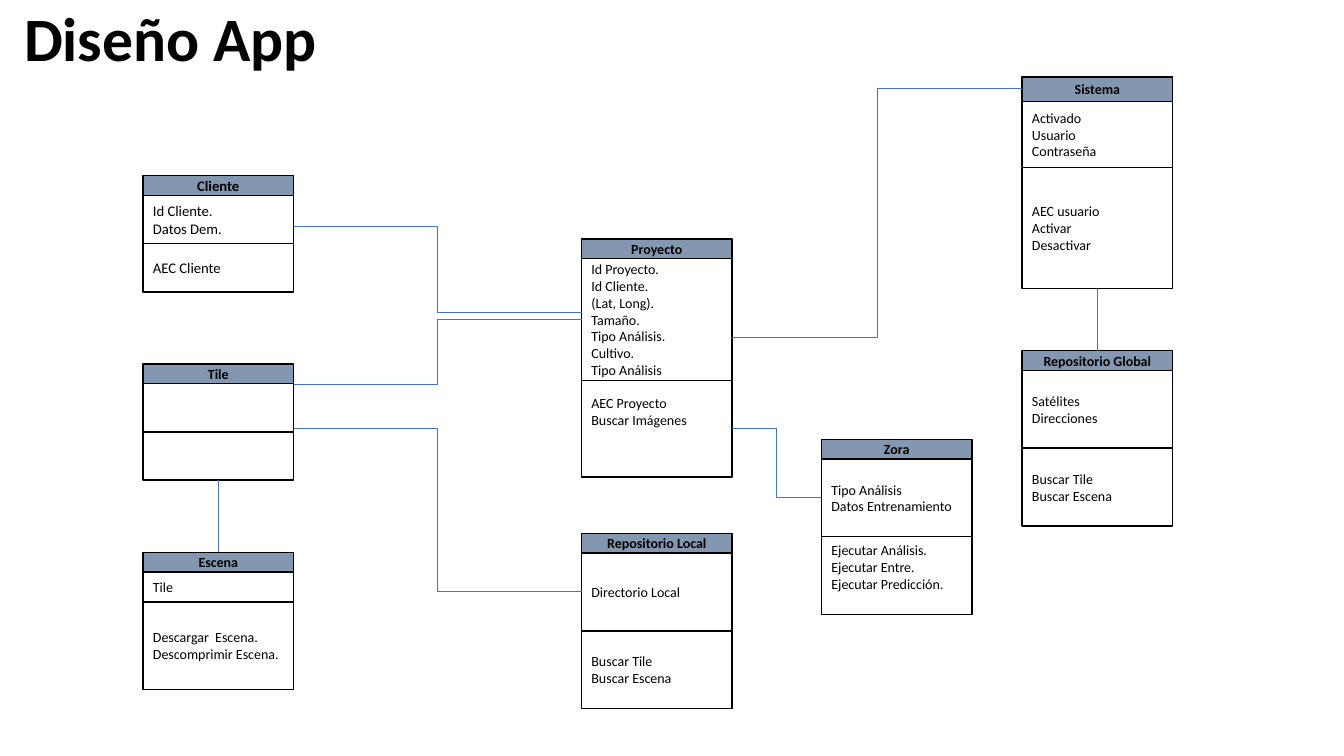
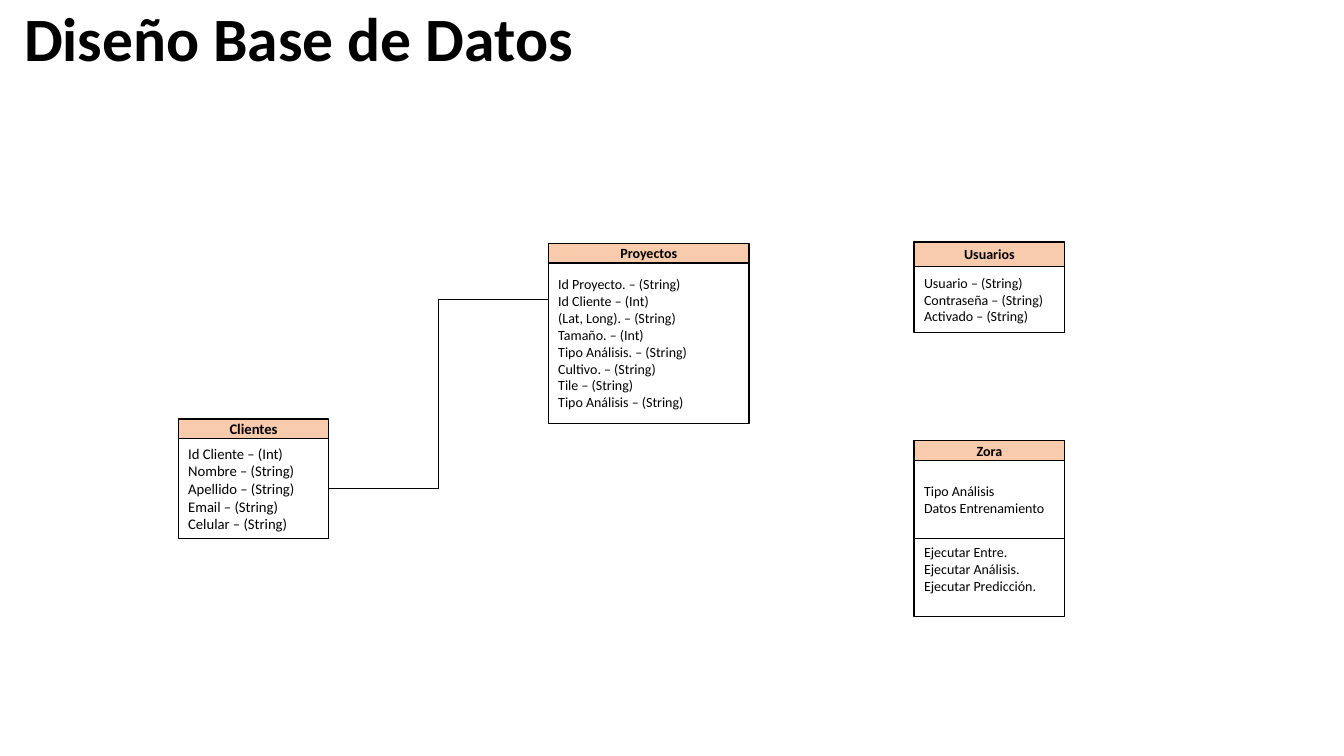
"""Build two slides of class diagrams for the app and its database."""
import pptx
import pptx.dml.color
import pptx.enum.shapes
import pptx.enum.text
import pptx.oxml
import pptx.util

Pt = pptx.util.Pt


def color(value):
    """Turn a hex string into a colour."""
    return pptx.dml.color.RGBColor.from_string(value)


class Diagram:
    """Hold the deck, its style and the current slide."""

    FONT = "Calibri"
    INK = "000000"
    BOX_WIDTH = 107.5
    HEADER_HEIGHT = 14
    MARGIN = 3.6
    LINE_HEIGHT = 12.2

    def __init__(self):
        """Start an empty widescreen deck."""
        self.deck = pptx.Presentation()
        self.deck.slide_width = Pt(960)
        self.deck.slide_height = Pt(540)
        self.page = None
        self.header_fill = None
        self.link_color = None

    def style_para(self, para, size, bold=False):
        """Set the font of one paragraph."""
        para.font.name = self.FONT
        para.font.size = Pt(size)
        para.font.bold = bold
        para.font.color.rgb = color(self.INK)

    def add_page(self, title, header_fill, link_color):
        """Add a titled slide with its own header and link colours."""
        self.page = self.deck.slides.add_slide(self.deck.slide_layouts[5])
        self.header_fill = header_fill
        self.link_color = link_color
        box = self.page.shapes.title
        box.left, box.top, box.width, box.height = Pt(0), Pt(0), Pt(960), Pt(60)
        frame = box.text_frame
        frame.text = title
        frame.word_wrap = True
        frame.margin_left = Pt(17.2)
        frame.vertical_anchor = pptx.enum.text.MSO_ANCHOR.MIDDLE
        para = frame.paragraphs[0]
        para.alignment = pptx.enum.text.PP_ALIGN.LEFT
        para.line_spacing = 0.9
        self.style_para(para, 44, bold=True)

    def add_cell(self, left, top, width, height, lines, size, header=False, lift=0):
        """Add one outlined box, its text lifted by a number of lines."""
        box = self.page.shapes.add_shape(
            pptx.enum.shapes.MSO_SHAPE.RECTANGLE,
            Pt(left), Pt(top), Pt(width), Pt(height))
        box.shadow.inherit = False
        if header:
            box.fill.solid()
            box.fill.fore_color.rgb = color(self.header_fill)
        else:
            box.fill.background()
        box.line.color.rgb = color(self.INK)
        box.line.width = Pt(1)
        frame = box.text_frame
        frame.text = "\n".join(lines)
        frame.word_wrap = True
        frame.vertical_anchor = pptx.enum.text.MSO_ANCHOR.MIDDLE
        frame.margin_bottom = Pt(self.MARGIN + lift * self.LINE_HEIGHT)
        align = pptx.enum.text.PP_ALIGN
        for para in frame.paragraphs:
            para.alignment = align.CENTER if header else align.LEFT
            self.style_para(para, size, bold=header)

    def add_entity(self, name, left, top, sections, size=10,
                   width=BOX_WIDTH, header_height=HEADER_HEIGHT):
        """Stack a header and sections of (height, lines, optional lift)."""
        self.add_cell(left, top, width, header_height, [name], size, header=True)
        top += header_height
        for height, lines, *lift in sections:
            self.add_cell(left, top, width, height, lines, size, lift=sum(lift))
            top += height

    def add_link(self, start, end):
        """Join two points, straight when they share a column."""
        kinds = pptx.enum.shapes.MSO_CONNECTOR
        kind = kinds.STRAIGHT if start[0] == end[0] else kinds.ELBOW
        link = self.page.shapes.add_connector(kind, *map(Pt, start + end))
        link.line.color.rgb = color(self.link_color)
        link.line.width = Pt(0.5)
        properties = link._element.spPr
        properties.append(pptx.oxml.parse_xml(
            '<a:effectLst xmlns:a="http://schemas.openxmlformats.org/drawingml/2006/main"/>'))


def build_app(diagram):
    """Draw the classes of the app and their links."""
    client, project, zora, system = 102.2, 415.4, 586.8, 730.1
    width = diagram.BOX_WIDTH
    search = ["Buscar Tile", "Buscar Escena"]
    diagram.add_page("Diseño App", "8497B0", "4472C4")
    diagram.add_entity("Sistema", system, 55, [
        (47.2, ["Activado", "Usuario", "Contraseña"]),
        (86.6, ["AEC usuario", "Activar", "Desactivar"])], header_height=17.5)
    diagram.add_entity("Cliente", client, 125.5, [
        (34.5, ["Id Cliente.", "Datos Dem."]),
        (34.5, ["AEC Cliente"])], size=10.5)
    diagram.add_entity("Proyecto", project, 170.8, [
        (86.9, ["Id Proyecto.", "Id Cliente.", "(Lat, Long).", "Tamaño.",
                "Tipo Análisis.", "Cultivo.", "Tipo Análisis"]),
        (69, ["AEC Proyecto", "Buscar Imágenes"], 2)])
    diagram.add_entity("Tile", client, 260, [(34.5, []), (34.5, [])])
    diagram.add_entity("Escena", client, 394.6, [
        (21.3, ["Tile"]),
        (62.6, ["Descargar  Escena.", "Descomprimir Escena."])])
    diagram.add_entity("Repositorio Local", project, 381, [
        (55.6, ["Directorio Local"]), (55.6, search)])
    diagram.add_entity("Repositorio Global", system, 250.5, [
        (55.6, ["Satélites", "Direcciones"]), (55.6, search)])
    diagram.add_entity("Zora", zora, 313.8, [
        (55.6, ["Tipo Análisis", "Datos Entrenamiento"]),
        (55.6, ["Ejecutar Análisis.", "Ejecutar Entre.", "Ejecutar Predicción."], 1)])
    for start, end in [
            ((client + width, 274.8), (project, 228.3)),
            ((client + width, 161.6), (project, 223)),
            ((client + width / 2, 343.2), (client + width / 2, 394.6)),
            ((client + width, 306.2), (project, 422.4)),
            ((project + width, 241.2), (system, 63.4)),
            ((system + width / 2, 206.2), (system + width / 2, 250.5)),
            ((project + width, 306.2), (zora, 355))]:
        diagram.add_link(start, end)


def build_database(diagram):
    """Draw the tables of the database and their link."""
    client, project, user = 127.4, 391.7, 653
    diagram.add_page("Diseño Base de Datos", "F8CBAD", "000000")
    diagram.add_entity("Usuarios", user, 172.8, [
        (47.2, ["Usuario – (String)", "Contraseña – (String)",
                "Activado – (String)"])], header_height=17.5)
    diagram.add_entity("Clientes", client, 299.3, [
        (71.4, ["Id Cliente – (Int)", "Nombre – (String)", "Apellido – (String)",
                "Email – (String)", "Celular – (String)"])], size=10.5)
    diagram.add_entity("Proyectos", project, 174, [
        (114.4, ["Id Proyecto. – (String)", "Id Cliente – (Int)",
                 "(Lat, Long). – (String)", "Tamaño. – (Int)",
                 "Tipo Análisis. – (String)", "Cultivo. – (String)",
                 "Tile – (String)", "Tipo Análisis – (String)"])], width=143.5)
    diagram.add_entity("Zora", user, 314.8, [
        (55.8, ["Tipo Análisis", "Datos Entrenamiento"]),
        (55.8, ["Ejecutar Entre.", "Ejecutar Análisis.", "Ejecutar Predicción."], 1)])
    diagram.add_link((client + diagram.BOX_WIDTH, 349), (project, 213.8))


def main():
    """Build both slides and save the deck."""
    diagram = Diagram()
    build_app(diagram)
    build_database(diagram)
    diagram.deck.save("out.pptx")


if __name__ == "__main__":
    main()
